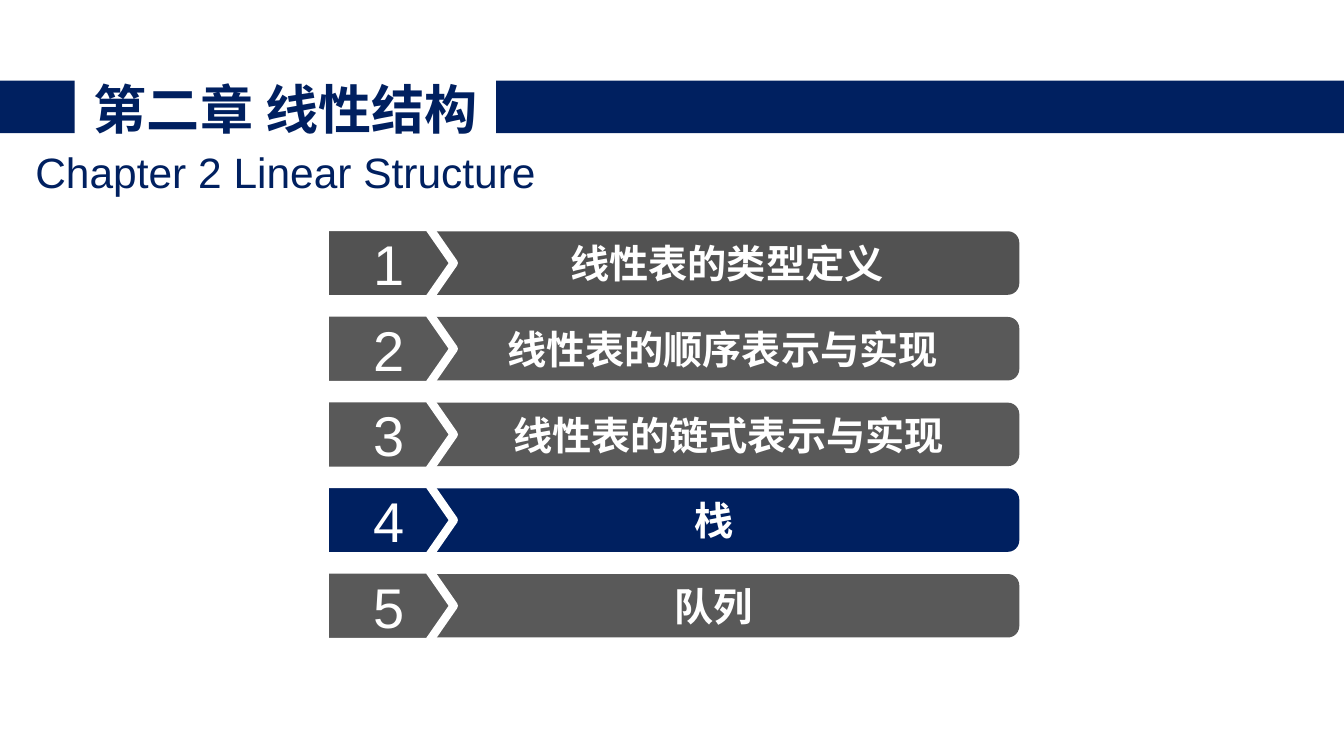
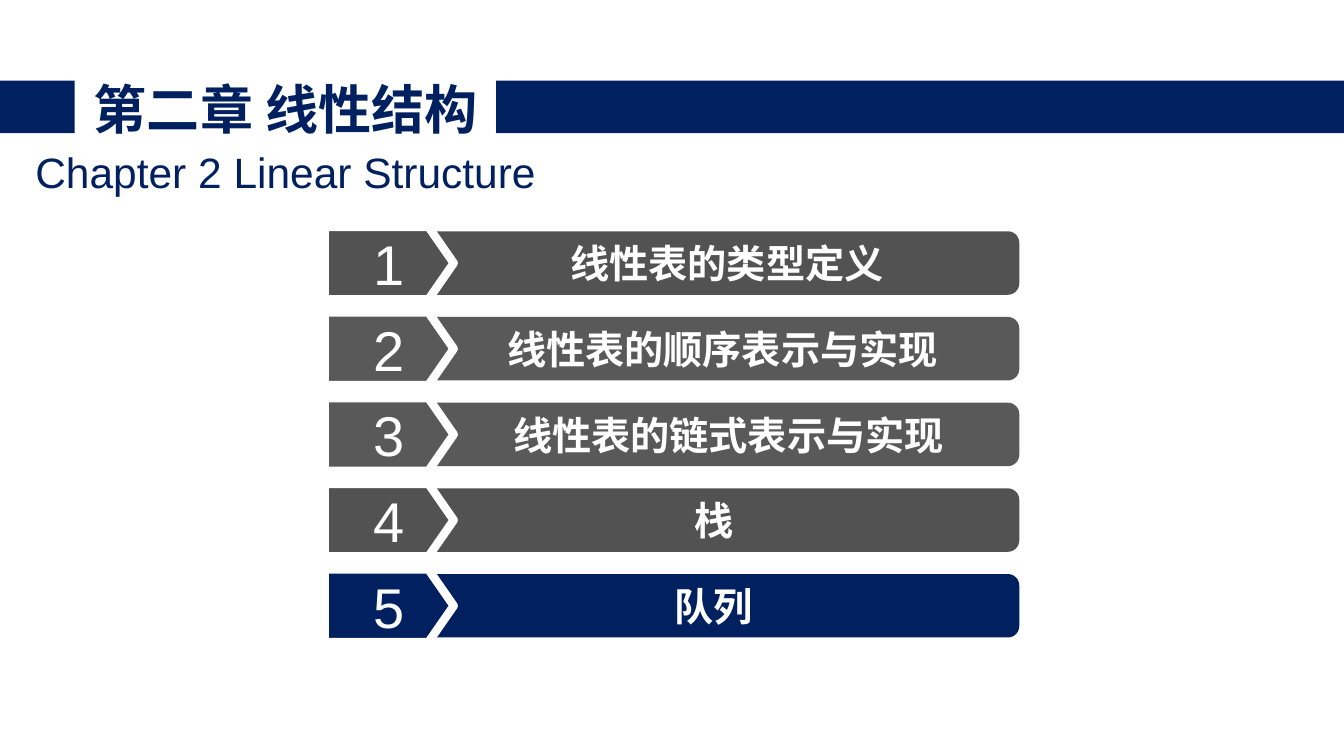
from dataclasses import dataclass

from pptx import Presentation
from pptx.dml.color import RGBColor
from pptx.enum import shapes, text
from pptx.util import Inches, Pt

NAVY = RGBColor(0x00, 0x20, 0x60)
DARK_GRAY = RGBColor(0x52, 0x52, 0x52)
GRAY = RGBColor(0x59, 0x59, 0x59)
WHITE = RGBColor(0xFF, 0xFF, 0xFF)
FONT = "Arial"

SLIDE_WIDTH, SLIDE_HEIGHT = 13.33, 7.5
BAND_TOP, BAND_HEIGHT = 0.8, 0.52
ROW_TOP, ROW_STEP = 2.25, 0.85
ARROW_LEFT, ARROW_WIDTH, ARROW_HEIGHT, ARROW_POINT = 3.22, 1.28, 0.72, 0.25
BAR_LEFT, BAR_WIDTH, BAR_HEIGHT, BAR_ROUNDING = 4.05, 6.06, 0.63, 0.18


@dataclass(frozen=True)
class Box:
    left: float
    top: float
    width: float
    height: float

    def lengths(self) -> tuple:
        return tuple(Inches(v) for v in (self.left, self.top, self.width, self.height))


@dataclass(frozen=True)
class Topic:
    name: str
    color: RGBColor
    text_inset: float = 0


TITLE_BOX = Box(0.83, 0.75, 4.01, 0.64)
SUBTITLE_BOX = Box(0.2, 1.45, 5.27, 0.51)
BANDS = (
    Box(0, BAND_TOP, 0.74, BAND_HEIGHT),
    Box(4.92, BAND_TOP, SLIDE_WIDTH - 4.92, BAND_HEIGHT),
)
TOPICS = (
    Topic("线性表的类型定义", DARK_GRAY, 0.26),
    Topic("线性表的顺序表示与实现", GRAY, 0.17),
    Topic("线性表的链式表示与实现", GRAY, 0.29),
    Topic("栈", DARK_GRAY),
    Topic("队列", GRAY),
)
CURRENT_TOPICS = (4, 5)


def write_text(shape, words: str, size: float, color: RGBColor, bold: bool = False,
               anchor=text.MSO_ANCHOR.MIDDLE, left_inset: float = 0) -> None:
    frame = shape.text_frame
    frame.text = words
    frame.word_wrap = True
    frame.auto_size = text.MSO_AUTO_SIZE.NONE
    frame.vertical_anchor = anchor
    frame.margin_left = Inches(left_inset)
    frame.margin_top = frame.margin_right = frame.margin_bottom = 0
    paragraph = frame.paragraphs[0]
    paragraph.alignment = text.PP_ALIGN.CENTER
    paragraph.space_before = Pt(0)
    font = paragraph.runs[0].font
    font.name, font.size, font.bold = FONT, Pt(size), bold
    font.color.rgb = color


def add_filled_shape(slide, kind, box: Box, color: RGBColor):
    shape = slide.shapes.add_shape(kind, *box.lengths())
    shape.shadow.inherit = False
    shape.fill.solid()
    shape.fill.fore_color.rgb = color
    shape.line.fill.background()
    return shape


def place(shape, box: Box) -> None:
    shape.left, shape.top, shape.width, shape.height = box.lengths()


def add_heading(slide) -> None:
    title, subtitle = slide.shapes.title, slide.placeholders[1]
    place(title, TITLE_BOX)
    write_text(title, "第二章 线性结构", 37.9, NAVY, bold=True)
    place(subtitle, SUBTITLE_BOX)
    write_text(subtitle, "Chapter 2 Linear Structure", 30.3, NAVY,
               anchor=text.MSO_ANCHOR.TOP)
    for band in BANDS:
        add_filled_shape(slide, shapes.MSO_SHAPE.RECTANGLE, band, NAVY)


def add_topic(slide, number: int, topic: Topic, is_current: bool) -> None:
    color = NAVY if is_current else topic.color
    top = ROW_TOP + (number - 1) * ROW_STEP
    bar_top = top + (ARROW_HEIGHT - BAR_HEIGHT) / 2
    bar = add_filled_shape(slide, shapes.MSO_SHAPE.ROUNDED_RECTANGLE,
                           Box(BAR_LEFT, bar_top, BAR_WIDTH, BAR_HEIGHT), color)
    bar.adjustments[0] = BAR_ROUNDING
    write_text(bar, topic.name, 28, WHITE, bold=True, left_inset=topic.text_inset)

    arrow = add_filled_shape(slide, shapes.MSO_SHAPE.PENTAGON,
                             Box(ARROW_LEFT, top, ARROW_WIDTH, ARROW_HEIGHT), color)
    arrow.adjustments[0] = ARROW_POINT / ARROW_HEIGHT
    arrow.line.color.rgb = WHITE
    arrow.line.width = Pt(6)
    write_text(arrow, str(number), 40, WHITE, left_inset=ARROW_POINT / 2)


def main() -> None:
    presentation = Presentation()
    presentation.slide_width = Inches(SLIDE_WIDTH)
    presentation.slide_height = Inches(SLIDE_HEIGHT)
    for current in CURRENT_TOPICS:
        slide = presentation.slides.add_slide(presentation.slide_layouts[0])
        add_heading(slide)
        for number, topic in enumerate(TOPICS, start=1):
            add_topic(slide, number, topic, number == current)
    presentation.save("out.pptx")


if __name__ == "__main__":
    main()
